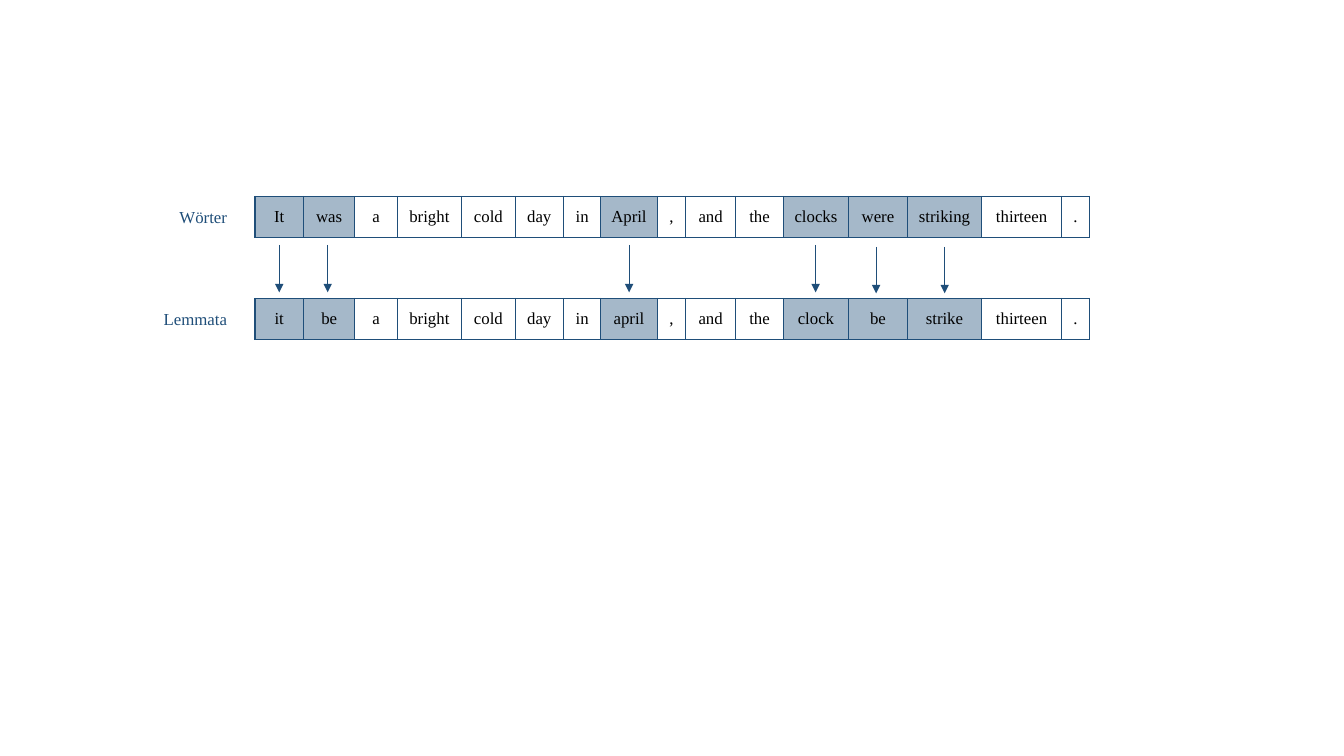
from typing import NamedTuple

from lxml import etree
from pptx import Presentation
from pptx import util as u
from pptx.dml import color
from pptx.enum import shapes, text
from pptx.oxml import ns

COLORS = {"navy": "1F4E79", "black": "000000"}
FONT = {"name": "Times New Roman", "size": u.Pt(12)}
FRAME = {"vertical_anchor": text.MSO_ANCHOR.MIDDLE, "word_wrap": True}
CELL = {"vertical_anchor": text.MSO_ANCHOR.MIDDLE,
        "margin_left": u.Inches(0.05), "margin_right": u.Inches(0.05)}
PLAIN_TABLE = {"first_row": False, "horz_banding": False}
TABLE_LEFT, LABEL_LEFT, LABEL_WIDTH, ROW_HEIGHT = 2.53, 1.47, 0.88, 0.41
CHANGED_OPACITY = 40


class Token(NamedTuple):
    word: str
    lemma: str
    width: float


class Row(NamedTuple):
    label: str
    field: str
    top: float


class Arrow(NamedTuple):
    x: float
    top: float
    bottom: float


TOKENS = [
    Token("It", "it", 0.48), Token("was", "be", 0.51), Token("a", "a", 0.42),
    Token("bright", "bright", 0.64), Token("cold", "cold", 0.53),
    Token("day", "day", 0.48), Token("in", "in", 0.37),
    Token("April", "april", 0.56), Token(",", ",", 0.28),
    Token("and", "and", 0.5), Token("the", "the", 0.47),
    Token("clocks", "clock", 0.65), Token("were", "be", 0.58),
    Token("striking", "strike", 0.74), Token("thirteen", "thirteen", 0.79),
    Token(".", ".", 0.28),
]
ROWS = [Row("Wörter", "word", 1.95), Row("Lemmata", "lemma", 2.96)]
ARROWS = [Arrow(x, 2.43, 2.9) for x in (2.77, 3.25, 6.24, 8.09)]
ARROWS += [Arrow(x, 2.45, 2.91) for x in (8.69, 9.37)]


def apply(target, values: dict) -> None:
    for name, value in values.items():
        setattr(target, name, value)


def rgb(name: str) -> color.RGBColor:
    return color.RGBColor.from_string(COLORS[name])


def write(frame, content: str, align, color_name: str) -> None:
    para = frame.paragraphs[0]
    para.alignment = align
    span = para.add_run()
    span.text = content
    apply(span.font, FONT)
    span.font.color.rgb = rgb(color_name)


def add_borders(cell) -> None:
    properties = cell._tc.get_or_add_tcPr()
    for side in ("a:lnL", "a:lnR", "a:lnT", "a:lnB"):
        border = etree.SubElement(properties, ns.qn(side), w=str(u.Pt(1)))
        fill = etree.SubElement(border, ns.qn("a:solidFill"))
        etree.SubElement(fill, ns.qn("a:srgbClr"), val=COLORS["navy"])


def fill_cell(cell, changed: bool) -> None:
    if not changed:
        cell.fill.background()
        return
    cell.fill.solid()
    cell.fill.fore_color.rgb = rgb("navy")
    shade = cell._tc.tcPr.find(ns.qn("a:solidFill")).find(ns.qn("a:srgbClr"))
    etree.SubElement(shade, ns.qn("a:alpha"), val=str(CHANGED_OPACITY * 1000))


def add_token_row(page, row: Row) -> None:
    total = sum(token.width for token in TOKENS)
    table = page.shapes.add_table(
        1, len(TOKENS), u.Inches(TABLE_LEFT), u.Inches(row.top),
        u.Inches(total), u.Inches(ROW_HEIGHT)).table
    apply(table, PLAIN_TABLE)
    for index, token in enumerate(TOKENS):
        table.columns[index].width = u.Inches(token.width)
        cell = table.cell(0, index)
        apply(cell, CELL)
        add_borders(cell)
        fill_cell(cell, token.word != token.lemma)
        write(cell.text_frame, getattr(token, row.field),
              text.PP_ALIGN.CENTER, "black")


def add_label(page, row: Row) -> None:
    box = page.shapes.add_textbox(
        u.Inches(LABEL_LEFT), u.Inches(row.top),
        u.Inches(LABEL_WIDTH), u.Inches(ROW_HEIGHT))
    apply(box.text_frame, FRAME)
    write(box.text_frame, row.label, text.PP_ALIGN.RIGHT, "navy")


def add_arrow(page, arrow: Arrow) -> None:
    connector = page.shapes.add_connector(
        shapes.MSO_CONNECTOR.STRAIGHT, u.Inches(arrow.x), u.Inches(arrow.top),
        u.Inches(arrow.x), u.Inches(arrow.bottom))
    connector.line.width = u.Pt(0.5)
    connector.line.color.rgb = rgb("navy")
    etree.SubElement(connector.line._get_or_add_ln(), ns.qn("a:tailEnd"),
                     type="triangle")
    etree.SubElement(connector._element.spPr, ns.qn("a:effectLst"))


def main() -> None:
    deck = Presentation()
    apply(deck, {"slide_width": u.Inches(13.33), "slide_height": u.Inches(7.5)})
    page = deck.slides.add_slide(deck.slide_layouts[6])
    for row in ROWS:
        add_token_row(page, row)
    for arrow in ARROWS:
        add_arrow(page, arrow)
    for row in ROWS:
        add_label(page, row)
    deck.save("out.pptx")


if __name__ == "__main__":
    main()
